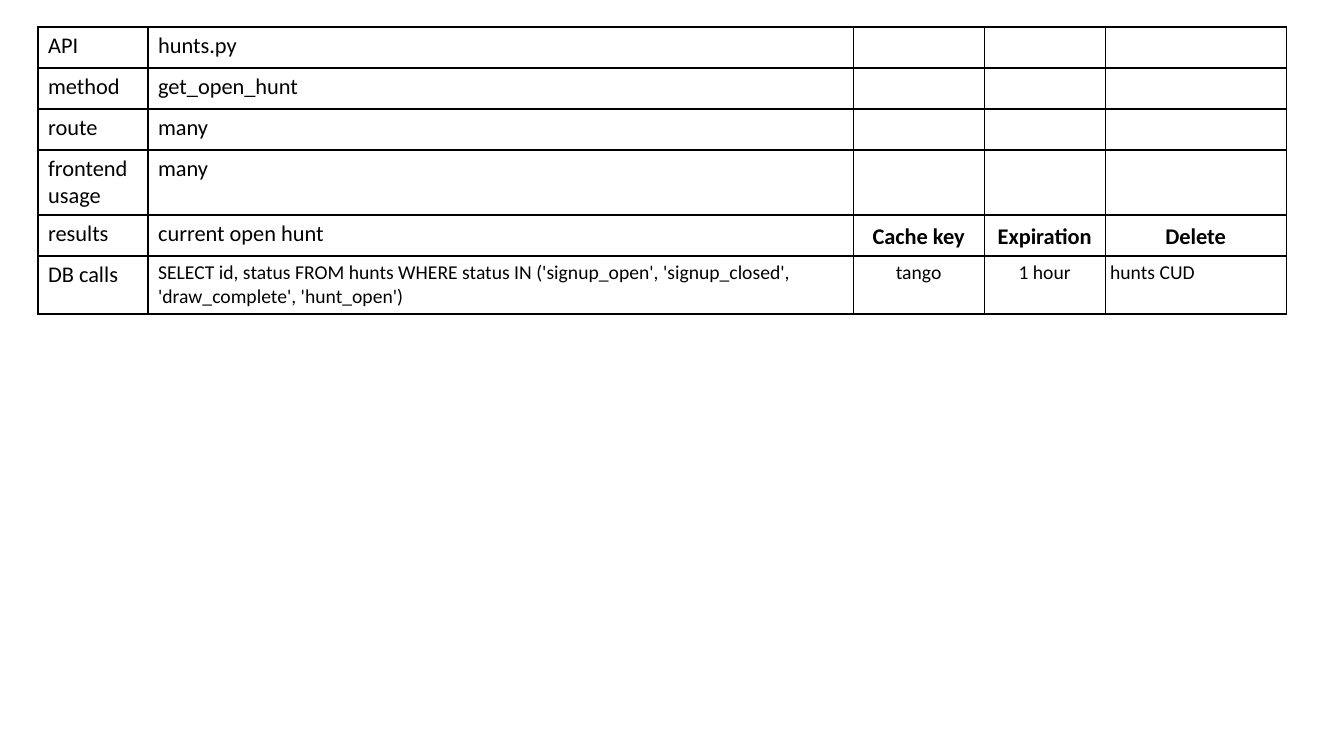
from lxml import etree
from pptx import Presentation
from pptx.dml.color import RGBColor
from pptx.enum.text import MSO_ANCHOR, PP_ALIGN
from pptx.oxml.ns import qn
from pptx.util import Inches, Pt

TOP, BOTTOM = MSO_ANCHOR.TOP, MSO_ANCHOR.BOTTOM
LEFT, CENTER = PP_ALIGN.LEFT, PP_ALIGN.CENTER
BLACK = RGBColor(0, 0, 0)
FONT = "Calibri"

ROWS = [
    ("API", "hunts.py", "", "", ""),
    ("method", "get_open_hunt", "", "", ""),
    ("route", "many", "", "", ""),
    ("frontend \nusage", "many", "", "", ""),
    ("results", "current open hunt", "Cache key", "Expiration", "Delete"),
    ("DB calls",
     "SELECT id, status FROM hunts WHERE status IN "
     "('signup_open', 'signup_closed', 'draw_complete', 'hunt_open')",
     "tango", "1 hour", "hunts CUD"),
]
COL_WIDTHS = [110, 705, 131, 121, 181]
ROW_HEIGHTS = [41, 41, 41, 65, 41, 58]
TABLE_LEFT, TABLE_TOP = 38, 27
HEADER_ROW, DB_ROW = 4, 5
FIRST_CACHE_COL, LAST_COL = 2, 4


def px(n):
    return Inches(n / 100.8)


def add_borders(cell):
    tcPr = cell._tc.get_or_add_tcPr()
    for i, side in enumerate(("lnL", "lnR", "lnT", "lnB")):
        ln = etree.Element(qn("a:" + side), w=str(Pt(1)))
        fill = etree.SubElement(ln, qn("a:solidFill"))
        etree.SubElement(fill, qn("a:srgbClr"), val=str(BLACK))
        tcPr.insert(i, ln)


def write(cell, text, size=16, bold=False, align=LEFT, anchor=TOP):
    cell.vertical_anchor = anchor
    tf = cell.text_frame
    tf.text = text
    for p in tf.paragraphs:
        p.alignment = align
        for r in p.runs:
            r.font.name = FONT
            r.font.size = Pt(size)
            r.font.bold = bold
            r.font.color.rgb = BLACK


def cell_format(row, col):
    cache = col >= FIRST_CACHE_COL
    if row == HEADER_ROW and cache:
        return dict(bold=True, align=CENTER, anchor=BOTTOM)
    if row == DB_ROW and col > 0:
        centred = cache and col < LAST_COL
        return dict(size=14, align=CENTER if centred else LEFT)
    return {}


prs = Presentation()
prs.slide_width, prs.slide_height = Inches(13.33), Inches(7.5)
s = prs.slides.add_slide(prs.slide_layouts[6])
table = s.shapes.add_table(
    len(ROWS), len(COL_WIDTHS), px(TABLE_LEFT), px(TABLE_TOP),
    px(sum(COL_WIDTHS)), px(sum(ROW_HEIGHTS))).table
table.first_row = table.horz_banding = False

for column, width in zip(table.columns, COL_WIDTHS):
    column.width = px(width)
for table_row, height in zip(table.rows, ROW_HEIGHTS):
    table_row.height = px(height)

for row, texts in enumerate(ROWS):
    for col, text in enumerate(texts):
        cell = table.cell(row, col)
        cell.fill.background()
        add_borders(cell)
        write(cell, text, **cell_format(row, col))
        if row == DB_ROW and col >= FIRST_CACHE_COL:
            cell.margin_left = cell.margin_right = px(5)

prs.save("out.pptx")
